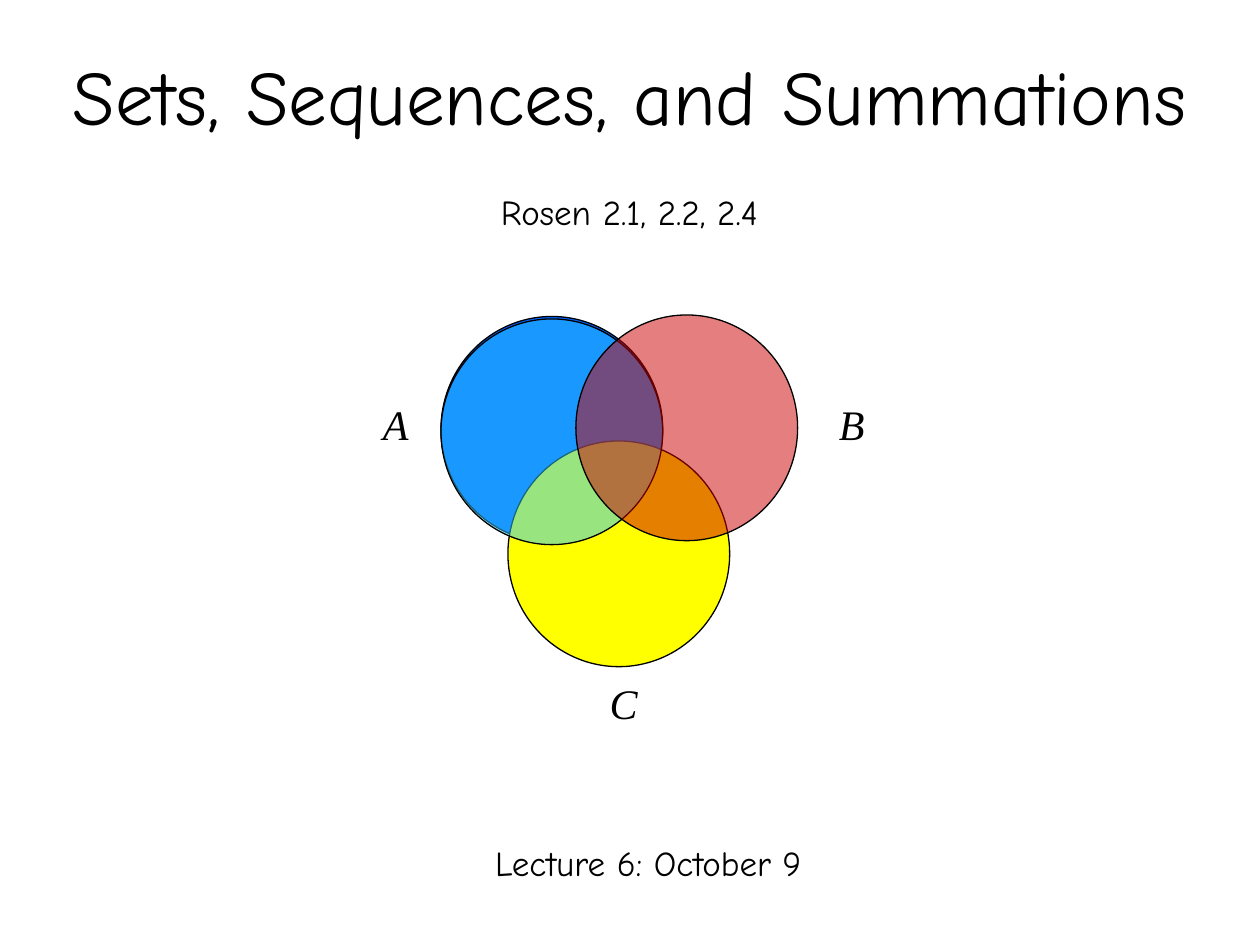
from lxml import etree
from pptx import Presentation
from pptx.dml.color import RGBColor
from pptx.enum.shapes import MSO_SHAPE
from pptx.enum.text import MSO_ANCHOR, MSO_AUTO_SIZE, PP_ALIGN
from pptx.oxml.ns import qn
from pptx.util import Cm, Pt

OVAL = MSO_SHAPE.OVAL
MIDDLE, TOP = MSO_ANCHOR.MIDDLE, MSO_ANCHOR.TOP
FIT_SHAPE = MSO_AUTO_SIZE.SHAPE_TO_FIT_TEXT
CENTER, LEFT = PP_ALIGN.CENTER, PP_ALIGN.LEFT

BLACK = RGBColor(0x00, 0x00, 0x00)
BLUE = RGBColor(0x00, 0x66, 0xFF)
YELLOW = RGBColor(0xFF, 0xFF, 0x00)
CYAN = RGBColor(0x33, 0xCC, 0xFF)
RED = RGBColor(0xCC, 0x00, 0x00)


class SlideBuilder:
    text_font = "Comic Neue"
    math_font = "Times New Roman"
    circle_width, circle_height = Cm(4.47), Cm(4.55)

    def __init__(self, slide):
        self.slide = slide

    def text(self, words, left, top, width, height, size,
             font=text_font, align=CENTER, anchor=TOP):
        box = self.slide.shapes.add_textbox(Cm(left), Cm(top), Cm(width), Cm(height))
        frame = box.text_frame
        frame.word_wrap = True
        frame.vertical_anchor = anchor
        frame.text = words
        paragraph = frame.paragraphs[0]
        paragraph.alignment = align
        run_font = paragraph.runs[0].font
        run_font.name = font
        run_font.size = Pt(size)
        run_font.color.rgb = BLACK
        return frame

    def caption(self, words, left, top, width):
        frame = self.text(words, left, top, width, 1.07, 20)
        frame.paragraphs[0].line_spacing = 0.9

    def set_label(self, name, left, top):
        frame = self.text(name, left, top, 1.02, 1.27, 24, self.math_font, LEFT)
        frame.word_wrap = False
        frame.auto_size = FIT_SHAPE
        frame.paragraphs[0].runs[0].font.italic = True

    def circle(self, group, left, top, color, opacity=100):
        circle = group.shapes.add_shape(
            OVAL, Cm(left), Cm(top), self.circle_width, self.circle_height)
        circle.shadow.inherit = False
        circle.fill.solid()
        circle.fill.fore_color.rgb = color
        circle.line.color.rgb = BLACK
        circle.line.width = Pt(0.75)
        if opacity < 100:
            fill_color = circle.fill._xPr.find(qn("a:solidFill"))[0]
            etree.SubElement(fill_color, qn("a:alpha"), val=str(opacity * 1000))

    def venn(self, circles):
        group = self.slide.shapes.add_group_shape()
        for circle in circles:
            self.circle(group, *circle)


def main():
    presentation = Presentation()
    presentation.slide_width, presentation.slide_height = Cm(25.4), Cm(19.05)
    blank = presentation.slide_layouts[6]
    builder = SlideBuilder(presentation.slides.add_slide(blank))

    # Title and lecture date
    builder.text("Sets, Sequences, and Summations", 0, 0.64, 25.4, 2.54, 44,
                 anchor=MIDDLE)
    builder.caption("Lecture 6: October 9", 8.46, 16.94, 9.22)

    # Venn diagram: set A is a solid circle with a translucent one above C
    for name, left, top in (("A", 7.47, 7.9), ("B", 16.66, 7.9), ("C", 12.04, 13.54)):
        builder.set_label(name, left, top)
    builder.venn((
        (8.89, 6.38, BLUE),
        (10.24, 8.89, YELLOW),
        (8.89, 6.43, CYAN, 50),
        (11.61, 6.35, RED, 50),
    ))

    # Reading reference
    builder.caption("Rosen 2.1, 2.2, 2.4", 8.46, 3.81, 8.46)

    presentation.save("out.pptx")


if __name__ == "__main__":
    main()
